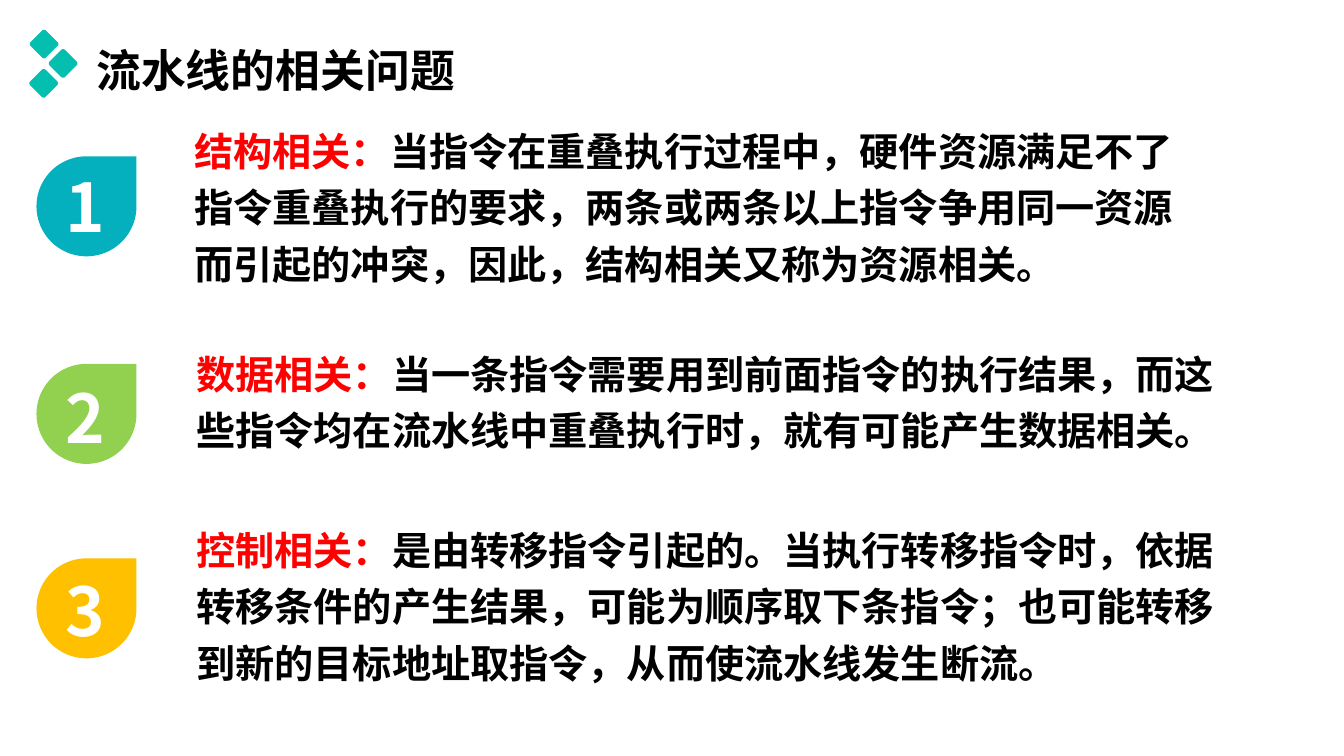
from lxml import etree
from pptx import Presentation
from pptx.dml.color import RGBColor
from pptx.enum.shapes import MSO_SHAPE
from pptx.enum.text import MSO_ANCHOR
from pptx.oxml.ns import qn
from pptx.util import Cm, Pt

TEAR, ROUND = MSO_SHAPE.TEAR, MSO_SHAPE.ROUNDED_RECTANGLE
TOP, MIDDLE = MSO_ANCHOR.TOP, MSO_ANCHOR.MIDDLE
FONT = "Noto Sans CJK SC"
BLACK, RED, WHITE, TEAL = "000000", "FF0000", "FFFFFF", "04BEB0"

# Content
TITLE = "流水线的相关问题"
# term, meaning, drop colour, drop top, digit top, text box (cm)
ITEMS = [
    ("结构相关：",
     "当指令在重叠执行过程中，硬件资源满足不了指令重叠执行的要求，"
     "两条或两条以上指令争用同一资源而引起的冲突，因此，结构相关又称为资源相关。",
     "04B0BE", 3.94, 4.04, (4.65, 2.84, 26.01, 4.57)),
    ("数据相关：",
     "当一条指令需要用到前面指令的执行结果，而这些指令均在流水线中重叠执行时，"
     "就有可能产生数据相关。",
     "92D050", 9.17, 9.37, (4.7, 8.46, 26.7, 3.38)),
    ("控制相关：",
     "是由转移指令引起的。当执行转移指令时，依据转移条件的产生结果，"
     "可能为顺序取下条指令；也可能转移到新的目标地址取指令，从而使流水线发生断流。",
     "FFC000", 14.07, 14.22, (4.7, 12.9, 26.24, 4.57)),
]
GEMS = [(1.11, 1.11), (1.59, 1.6), (1.1, 2.1)]  # centres
GEM, DROP, LEFT = 0.55, 2.52, 0.92

deck = Presentation()
deck.slide_width, deck.slide_height = Cm(33.87), Cm(19.05)
slide = deck.slides.add_slide(deck.slide_layouts[6])


def color(code):
    return RGBColor.from_string(code)


def add_form(kind, box, fill):
    form = slide.shapes.add_shape(kind, *map(Cm, box))
    form.shadow.inherit = False
    form.fill.solid()
    form.fill.fore_color.rgb = color(fill)
    form.line.fill.background()
    return form


def add_text(box, runs, size, space=1.0, anchor=TOP):
    frame = slide.shapes.add_textbox(*map(Cm, box)).text_frame
    frame.word_wrap = True
    frame.vertical_anchor = anchor
    para = frame.paragraphs[0]
    para.line_spacing = space
    for text, code in runs:
        run = para.add_run()
        run.text = text
        font = run.font
        font.size, font.bold, font.name = Pt(size), True, FONT
        font.color.rgb = color(code)
        # East Asian typeface
        etree.SubElement(run._r.get_or_add_rPr(), qn("a:ea")).set("typeface", FONT)


# Title with its three gems
add_text((2.18, -0.23, 29.21, 3.68), [(TITLE, BLACK)], 32, 1.2, MIDDLE)
for x, y in GEMS:
    gem = add_form(ROUND, (x - GEM / 2, y - GEM / 2, GEM, GEM), TEAL)
    gem.adjustments[0] = 0.12
    gem.rotation = 45

# Numbered items
for num, (term, body, fill, top, mark, box) in enumerate(ITEMS, 1):
    add_text(box, [(term, RED), (body, BLACK)], 28, 1.2)
    add_form(TEAR, (LEFT, top, DROP, DROP), fill)
    add_text((1.4, mark, 1.6, 2.31), [(str(num), WHITE)], 48)

deck.save("out.pptx")
